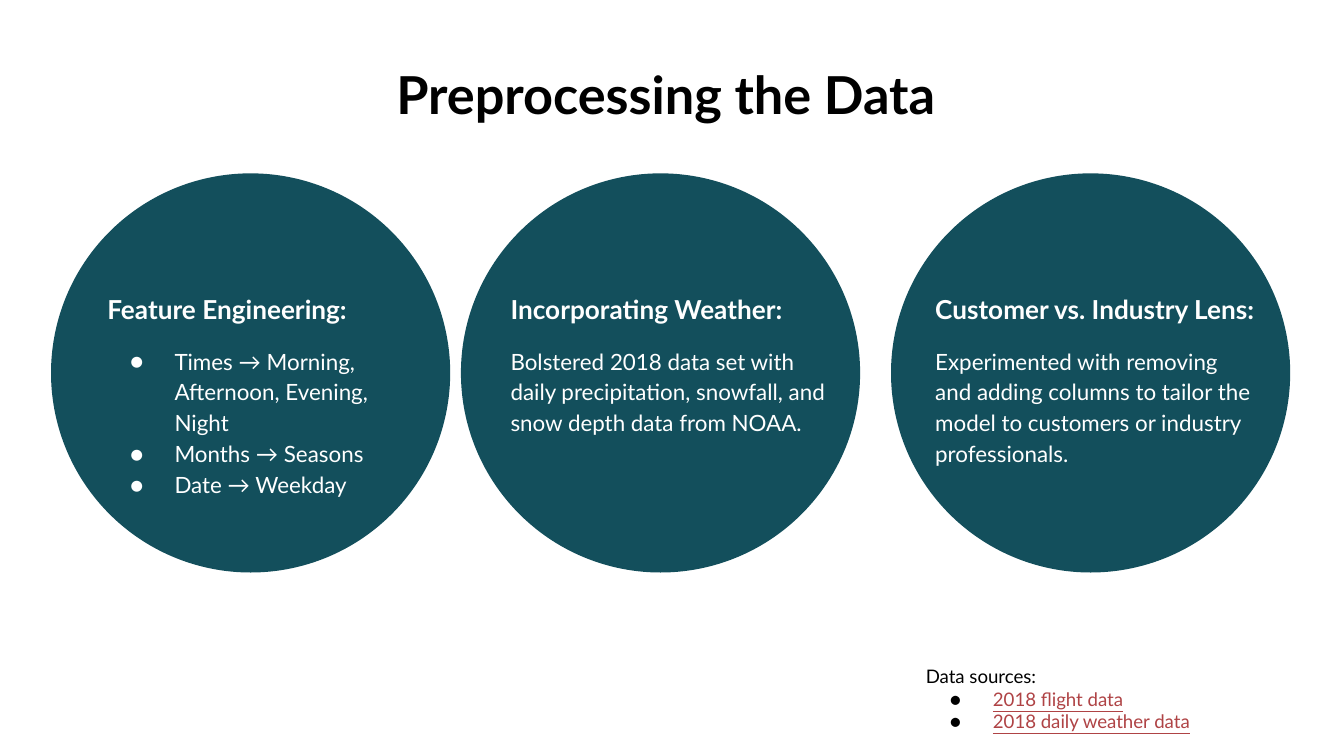
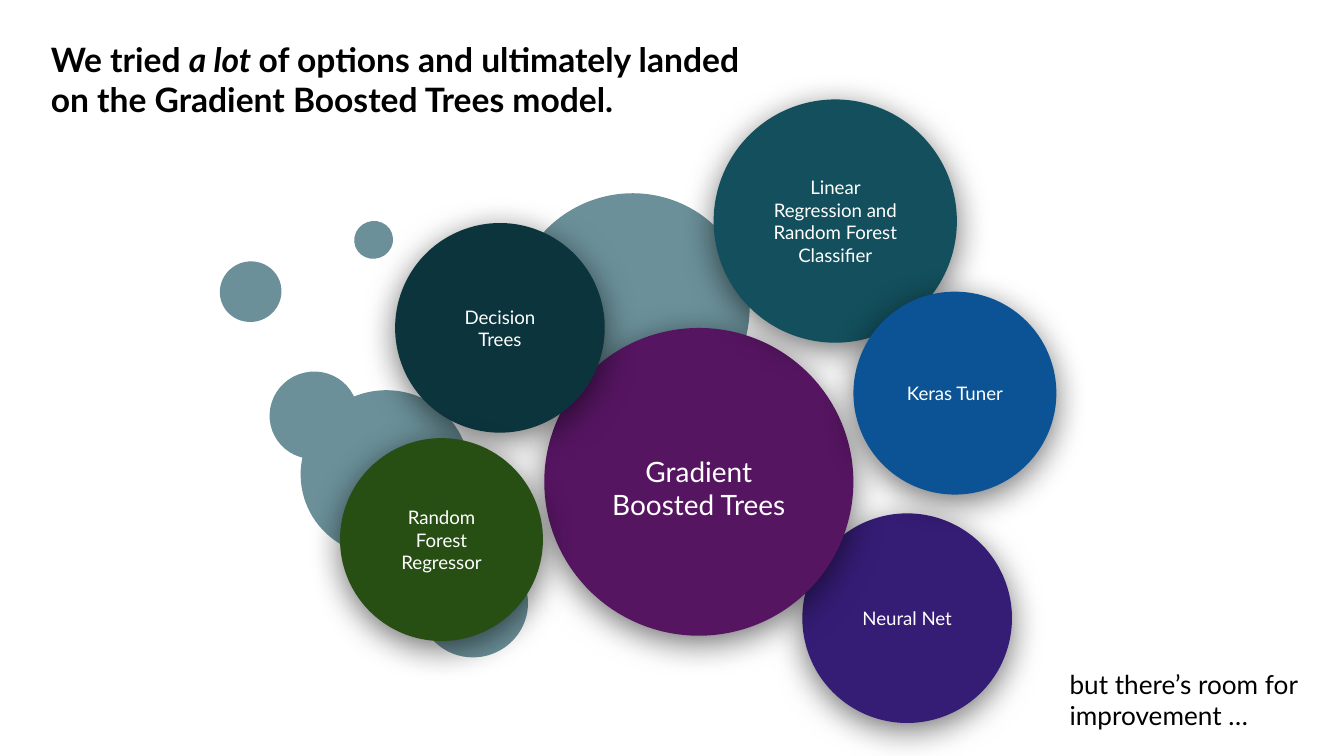
from collections import namedtuple

from lxml.etree import SubElement as add_element
from pptx import Presentation
from pptx.dml.color import RGBColor
from pptx.enum.shapes import MSO_SHAPE as Preset
from pptx.enum.text import MSO_ANCHOR as Anchor
from pptx.enum.text import MSO_AUTO_SIZE as AutoSize
from pptx.enum.text import PP_ALIGN as Align
from pptx.oxml.ns import qn
from pptx.util import Inches, Pt

WIDTH = 10
HEIGHT = WIDTH * 9 / 16
COLUMN = ROW = WIDTH / 100
FONT = "Lato"
BLACK, WHITE = "000000", "FFFFFF"
TEAL, DARK_TEAL, MIST = "134F5C", "0C343D", "6B9099"
PURPLE, INDIGO, BLUE, GREEN = "551561", "351C75", "0B5394", "274E13"
LINK_RED = "AF4345"
MARGIN = dict.fromkeys(
    ("margin_left", "margin_top", "margin_right", "margin_bottom"), Inches(0.1))


class Box(namedtuple("Box", "left top width height")):
    def cell(self, left, top, width, height):
        return Box(self.left + left, self.top + top, width, height)

    def share(self, left, top, width, height):
        return self.cell(left * self.width, top * self.height,
                         width * self.width, height * self.height)

    def lengths(self):
        return [Inches(value * unit)
                for value, unit in zip(self, (COLUMN, ROW, COLUMN, ROW))]


SLIDE = Box(0, 0, WIDTH / COLUMN, HEIGHT / ROW)


def color(hex_string):
    return RGBColor.from_string(hex_string)


def apply(target, values):
    for name, value in values.items():
        setattr(target, name, value)


def span(text, size, ink=BLACK, **style):
    return text, ink, {"size": Pt(size), "name": FONT, **style}


def line(*spans, bullet=None, indent=0, **layout):
    return spans, bullet, indent, layout


def add_bullet(para, ink, indent):
    settings = para._p.get_or_add_pPr()
    settings.set("marL", str(Inches(0.5)))
    settings.set("indent", str(-Inches(indent)))
    tint = add_element(settings, qn("a:buClr"))
    add_element(tint, qn("a:srgbClr"), val=ink)
    add_element(settings, qn("a:buFont"), typeface=FONT)
    add_element(settings, qn("a:buChar"), char="●")


def write(shape, lines, **frame_format):
    frame = shape.text_frame
    apply(frame, {"word_wrap": True, **MARGIN, **frame_format})
    for index, (spans, bullet, indent, layout) in enumerate(lines):
        para = frame.add_paragraph() if index else frame.paragraphs[0]
        apply(para, layout)
        if bullet:
            add_bullet(para, bullet, indent)
        for text, ink, style in spans:
            run = para.add_run()
            run.text = text
            apply(run.font, style)
            run.font.color.rgb = color(ink)


def add_text(shapes, box, lines, **frame_format):
    write(shapes.add_textbox(*box.lengths()), lines, **frame_format)


def add_solid(shapes, preset, box, fill):
    shape = shapes.add_shape(preset, *box.lengths())
    shape.shadow.inherit = False
    shape.fill.solid()
    shape.fill.fore_color.rgb = color(fill)
    shape.line.fill.background()
    return shape


def cast_shadow(shape):
    effects = shape._element.spPr.find(qn("a:effectLst"))
    shadow = add_element(effects, qn("a:outerShdw"), blurRad=str(Pt(18)),
                         dist=str(Pt(4)), dir="5400000", algn="bl", rotWithShape="0")
    tint = add_element(shadow, qn("a:srgbClr"), val=BLACK)
    add_element(tint, qn("a:alpha"), val="55000")


def topic_text(shapes, box, heading, details, bulleted):
    lines = [line(span(heading, 14, WHITE, bold=True), line_spacing=1.15)]
    for index, detail in enumerate(details):
        lines.append(line(span(detail, 12, WHITE, bold=False),
                          bullet=WHITE if bulleted else None, indent=0.33,
                          line_spacing=1.15, space_before=Pt(0 if index else 10)))
    add_text(shapes, box, lines, auto_size=AutoSize.SHAPE_TO_FIT_TEXT)


def data_sources(shapes, box):
    lines = [line(span("Data sources:", 10))]
    for source in ("2018 flight data", "2018 daily weather data"):
        lines.append(line(span(source, 10, LINK_RED, underline=True),
                          bullet=BLACK, indent=0.32))
    add_text(shapes, box, lines)


def preprocessing_slide(page, box):
    topics = [
        (34.3, (2.7, 7.6, 25.5, 12.8), "Incorporating Weather:",
         ["Bolstered 2018 data set with daily precipitation, snowfall, "
          "and snow depth data from NOAA."]),
        (66.3, (2.3, 7.6, 26.1, 15.1), "Customer vs. Industry Lens:",
         ["Experimented with removing and adding columns to tailor the "
          "model to customers or industry professionals."]),
        (3.8, (3.2, 7.6, 24.5, 17.4), "Feature Engineering:",
         ["Times → Morning, Afternoon, Evening, Night",
          "Months → Seasons", "Date → Weekday"]),
    ]
    circles = [box.cell(left, 12.9, 29.7, 29.7) for left, *_ in topics]
    for circle in circles:
        add_solid(page.shapes, Preset.OVAL, circle, TEAL)
    add_text(page.shapes, box.cell(24, 3.6, 52, 7.7),
             [line(span("Preprocessing the Data ", 28, bold=True),
                   alignment=Align.CENTER)])
    for circle, (_, place, heading, details) in sorted(zip(circles, topics)):
        topic_text(page.shapes, circle.cell(*place), heading, details,
                   bulleted=len(details) > 1)
    data_sources(page.shapes, box.cell(67.9, 48.5, 30.6, 6.7))


def model_bubble(page, box, fill, label):
    shapes = page.shapes.add_group_shape().shapes
    cast_shadow(add_solid(shapes, Preset.OVAL, box, fill))
    plate = add_solid(shapes, Preset.RECTANGLE, box.share(0.16, 0.17, 0.68, 0.66), fill)
    write(plate, [line(span(label, 10, WHITE), alignment=Align.CENTER)],
          vertical_anchor=Anchor.MIDDLE)


def chosen_bubble(page, box):
    shapes = page.shapes.add_group_shape().shapes
    cast_shadow(add_solid(shapes, Preset.OVAL, box, PURPLE))
    add_text(shapes, box.share(0.12, 0.28, 0.76, 0.48),
             [line(span("Gradient Boosted Trees", 15, WHITE), alignment=Align.CENTER)],
             vertical_anchor=Anchor.MIDDLE)


def background_bubbles(page, box):
    shapes = page.shapes.add_group_shape().shapes
    for place in [(14.9, 26.7, 7.9, 8.1), (0, 5.2, 4.5, 4.6),
                  (6.1, 14.7, 12.3, 12.6), (21.9, 0, 17.3, 17.7),
                  (3.7, 13.4, 6.5, 6.6), (10, 2.2, 2.8, 2.9)]:
        add_solid(shapes, Preset.OVAL, box.cell(*place), MIST).rotation = 250


def models_slide(page, box):
    model_bubble(page, box.cell(59.7, 38.2, 15.6, 15.6), INDIGO, "Neural Net")
    background_bubbles(page, box.cell(16.4, 14.2, 39.2, 34.8))
    chosen_bubble(page, box.cell(40.5, 24.4, 23, 22.9))
    for left, top, size, fill, label in [
            (29.4, 16.6, 15.6, DARK_TEAL, "Decision Trees"),
            (53.1, 7.4, 18.1, TEAL, "Linear Regression and Random Forest Classifier"),
            (25.3, 32.6, 15.1, GREEN, "Random Forest Regressor"),
            (63.5, 21.7, 15.1, BLUE, "Keras Tuner")]:
        model_bubble(page, box.cell(left, top, size, size), fill, label)
    headline = line(
        span("We tried ", 18, bold=True),
        span("a lot ", 18, bold=True, italic=True),
        span("of options and ultimately landed on the Gradient Boosted Trees model.",
             18, bold=True))
    remark = line(span("but there’s room for improvement …", 14))
    for place, content in [((2.8, 1.9, 54.6, 8.1), headline),
                           ((78.6, 48.7, 20.8, 6.7), remark)]:
        add_text(page.shapes, box.cell(*place), [content],
                 auto_size=AutoSize.SHAPE_TO_FIT_TEXT)


def main():
    deck = Presentation()
    apply(deck, {"slide_width": Inches(WIDTH), "slide_height": Inches(HEIGHT)})
    for build in (preprocessing_slide, models_slide):
        page = deck.slides.add_slide(deck.slide_layouts[6])
        page.background.fill.solid()
        page.background.fill.fore_color.rgb = color(WHITE)
        build(page, SLIDE)
    deck.save("out.pptx")


if __name__ == "__main__":
    main()
